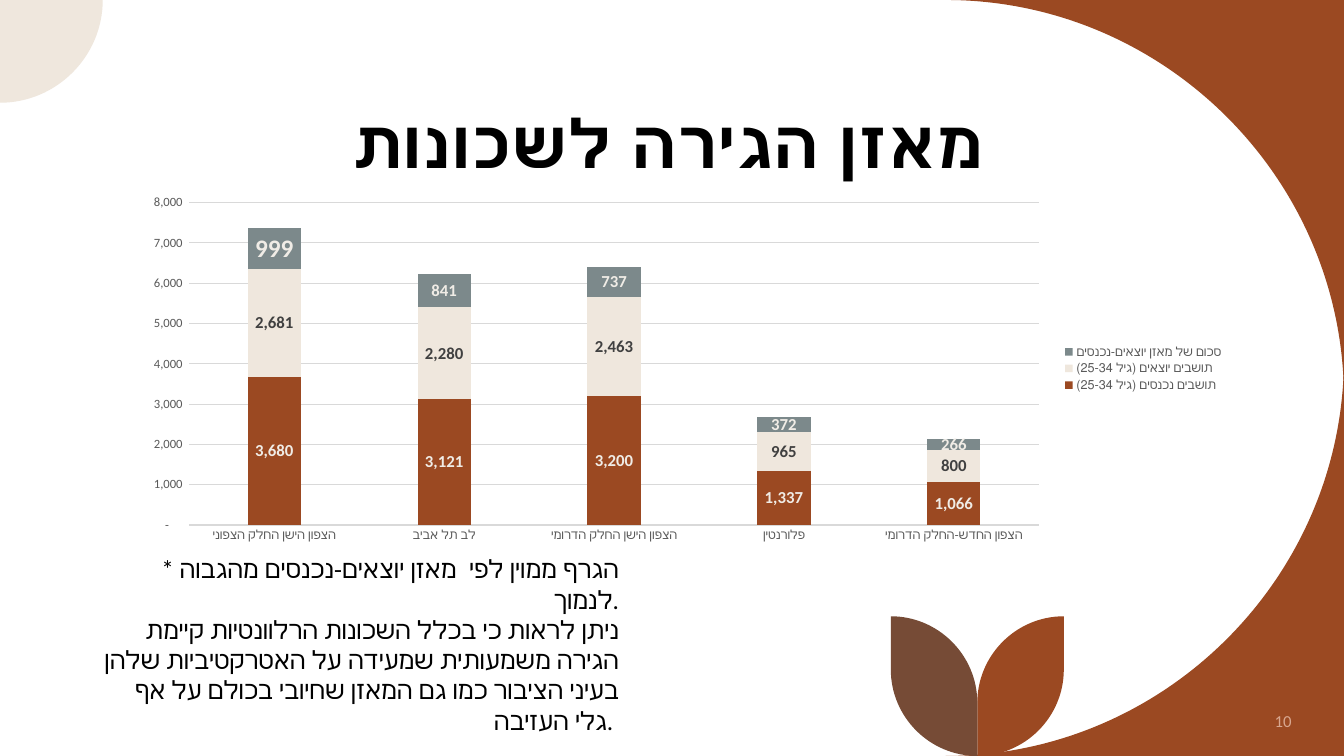
import pptx
import pptx.chart.data
import pptx.dml.color
import pptx.enum.chart
import pptx.enum.text
import pptx.oxml
import pptx.oxml.ns
import pptx.util

Cm, Pt = pptx.util.Cm, pptx.util.Pt
RGB = pptx.dml.color.RGBColor
ALIGN = pptx.enum.text.PP_ALIGN
ANCHOR = pptx.enum.text.MSO_ANCHOR
CHART = pptx.enum.chart

# Content
TITLE = "מאזן הגירה לשכונות"
NOTES = [
    "* הגרף ממוין לפי  מאזן יוצאים-נכנסים מהגבוה לנמוך.",
    "ניתן לראות כי בכלל השכונות הרלוונטיות קיימת הגירה משמעותית שמעידה על "
    "האטרקטיביות שלהן בעיני הציבור כמו גם המאזן שחיובי בכולם על אף גלי העזיבה. ",
]
PAGE = "10"
AREAS = ["הצפון הישן החלק הצפוני", "לב תל אביב", "הצפון הישן החלק הדרומי",
         "פלורנטין", "הצפון החדש-החלק הדרומי"]

# Colours
RUST = RGB(0x9B, 0x49, 0x22)
BROWN = RGB(0x76, 0x4B, 0x36)
CREAM = RGB(0xEF, 0xE7, 0xDD)
SLATE = RGB(0x7C, 0x89, 0x8B)
PALE = RGB(0xF0, 0xEC, 0xE6)
DARK = RGB(0x40, 0x40, 0x40)
GREY = RGB(0x59, 0x59, 0x59)
RULE = RGB(0xD9, 0xD9, 0xD9)
PEACH = RGB(0xD8, 0xA7, 0x90)
BLACK = RGB(0, 0, 0)

# Series: name, values, bar colour, label colour
FLOWS = [
    ("תושבים נכנסים (גיל 25-34)", (3680, 3121, 3200, 1337, 1066), RUST, PALE),
    ("תושבים יוצאים (גיל 25-34)", (2681, 2280, 2463, 965, 800), CREAM, DARK),
    ("סכום של מאזן יוצאים-נכנסים", (999, 841, 737, 372, 266), SLATE, PALE),
]
FORMAT = '_-* #,##0_-;\\-* #,##0_-;_-* "-"??_-;_-@_'
FACE = "Calibri"

# Geometry in cm
WIDE, HIGH = 33.87, 19.05
SWEEP = 10.04
DOT = 2.59
STEM, TIP, LEAF = 24.63, 15.53, 2.18
ROUND = 0.55  # control point distance of a quarter circle

deck = pptx.Presentation()
deck.slide_width, deck.slide_height = Cm(WIDE), Cm(HIGH)
slide = deck.slides.add_slide(deck.slide_layouts[6])


def style(font, size, color, bold=False):
    font.name, font.size, font.bold = FACE, Pt(size), bold
    font.color.rgb = color


def bend(start, corner, end):
    """Control points and end of a quarter circle that leans to a corner."""
    pull = [tuple(p + (c - p) * ROUND for p, c in zip(spot, corner))
            for spot in (start, end)]
    return pull + [end]


def flip(steps, x=None, y=None):
    """Mirror an outline in the line at x or y."""
    return [[(a if x is None else 2 * x - a, b if y is None else 2 * y - b)
             for a, b in step] for step in steps]


def draw(steps, color):
    """Draw an outline; a step of three points is a curve, of one a line."""
    spots = [(Cm(a), Cm(b)) for step in steps for a, b in step]
    pen = slide.shapes.build_freeform(*spots[0])
    pen.add_line_segments(spots[1:], close=True)
    shape = pen.convert_to_shape()
    lines = iter(shape.element.xpath(".//a:lnTo"))
    for step in steps[1:]:
        group = [next(lines) for _ in step]
        if len(group) == 3:
            curve = pptx.oxml.parse_xml(
                "<a:cubicBezTo %s/>" % pptx.oxml.ns.nsdecls("a"))
            group[0].addprevious(curve)
            for line in group:
                curve.append(line[0])
                line.getparent().remove(line)
    shape.shadow.inherit = False
    shape.fill.solid()
    shape.fill.fore_color.rgb = color
    shape.line.fill.background()


def write(box, lines, size, color, align, anchor, bold=False, space=None):
    frame = slide.shapes.add_textbox(*map(Cm, box)).text_frame
    frame.word_wrap = True
    frame.vertical_anchor = anchor
    for i, line in enumerate(lines):
        para = frame.add_paragraph() if i else frame.paragraphs[0]
        para.text = line
        para.alignment = align
        para.line_spacing = space
        style(para.font, size, color, bold)


# Corners
edge, side = (WIDE - SWEEP, 0), (WIDE, SWEEP)
sweep = [[(WIDE, 0)], [edge], bend(edge, (WIDE, 0), side)]
draw(sweep, RUST)
draw(flip(sweep, y=HIGH / 2), RUST)
draw([[(0, 0)], [(DOT, 0)], bend((DOT, 0), (DOT, DOT), (0, DOT))], CREAM)

# Leaves
right = STEM + LEAF
tip, low = (right, TIP), (right, HIGH - LEAF)
foot, fork = (STEM, HIGH), (STEM, TIP + LEAF)
leaf = [[tip], [low], bend(low, (right, HIGH), foot), [fork],
        bend(fork, (STEM, TIP), tip)]
draw(leaf, RUST)
draw(flip(leaf, x=STEM), BROWN)

# Text
write((3.25, 0.38, 27.16, 4.37), [TITLE], 48, BLACK, ALIGN.CENTER,
      ANCHOR.BOTTOM, bold=True, space=0.9)
write((28.2, 17.65, 4.6, 1.02), [PAGE], 12, PEACH, ALIGN.RIGHT, ANCHOR.MIDDLE)
write((2.31, 13.83, 13.54, 4.11), NOTES, 18, BLACK, ALIGN.RIGHT, ANCHOR.TOP)

# Chart
data = pptx.chart.data.CategoryChartData(number_format=FORMAT)
data.categories = AREAS
for name, values, _, _ in FLOWS:
    data.add_series(name, values)
chart = slide.shapes.add_chart(
    CHART.XL_CHART_TYPE.COLUMN_STACKED, Cm(3.25), Cm(4.74), Cm(27.84), Cm(9.09),
    data).chart
style(chart.font, 10, BLACK)
chart.has_title = False
chart.has_legend = True
chart.legend.position = CHART.XL_LEGEND_POSITION.RIGHT
chart.legend.include_in_layout = False
style(chart.legend.font, 9, GREY)

# Axes
for axis in (chart.category_axis, chart.value_axis):
    axis.major_tick_mark = axis.minor_tick_mark = CHART.XL_TICK_MARK.NONE
    style(axis.tick_labels.font, 9, GREY)
scale = chart.value_axis
scale.format.line.fill.background()
for rule in (chart.category_axis.format.line, scale.major_gridlines.format.line):
    rule.color.rgb = RULE
    rule.width = Pt(0.75)
scale.tick_labels.number_format = FORMAT
scale.tick_labels.number_format_is_linked = False

# Bars and labels
plot = chart.plots[0]
plot.gap_width, plot.overlap = 219, 100
plot.vary_by_categories = False
for bars, (_, _, color, ink) in zip(plot.series, FLOWS):
    bars.format.fill.solid()
    bars.format.fill.fore_color.rgb = color
    labels = bars.data_labels
    labels.show_value = True
    labels.number_format = FORMAT
    labels.number_format_is_linked = False
    style(labels.font, 12, ink, bold=True)
style(plot.series[2].points[0].data_label.font, 18, PALE, bold=True)

deck.save("out.pptx")
